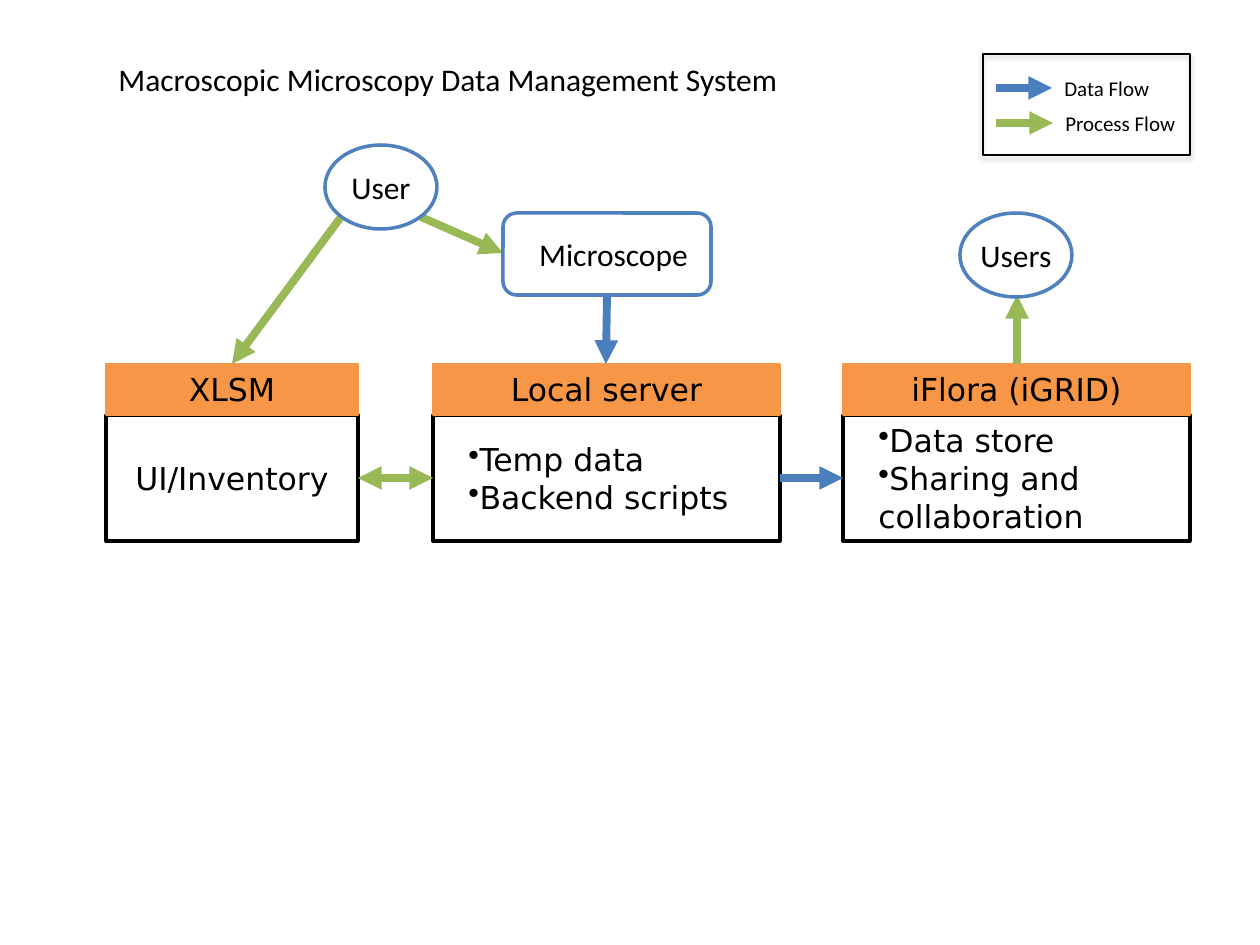
"""Build the data management flow diagram slide."""
from lxml import etree
from pptx import Presentation
from pptx.dml.color import RGBColor
from pptx.enum.shapes import MSO_CONNECTOR, MSO_SHAPE
from pptx.enum.text import MSO_ANCHOR, MSO_AUTO_SIZE, PP_ALIGN
from pptx.oxml.ns import qn
from pptx.util import Emu, Pt

RECT, ROUND, OVAL = MSO_SHAPE.RECTANGLE, MSO_SHAPE.ROUNDED_RECTANGLE, MSO_SHAPE.OVAL
STRAIGHT = MSO_CONNECTOR.STRAIGHT
LEFT, CENTER = PP_ALIGN.LEFT, PP_ALIGN.CENTER
TOP, MIDDLE = MSO_ANCHOR.TOP, MSO_ANCHOR.MIDDLE
GROW = MSO_AUTO_SIZE.SHAPE_TO_FIT_TEXT
SCALE = 914400 // 126
BLACK, WHITE, ORANGE, OUTLINE = "000000", "FFFFFF", "F79646", "4F81BD"
DATA, PROCESS = "4B7EBC", "98B955"
SANS, BODY = "DejaVu Sans", "Calibri"

HEADER_TOP, HEADER_H, BODY_H = 364, 51, 126
BODY_TOP = HEADER_TOP + HEADER_H
BODY_MID = BODY_TOP + BODY_H // 2
HANGING, CONTINUED = (33, -10, True), (23, 0, False)

SYSTEMS = [
    ("XLSM", 106, 252, [("UI/Inventory", None)]),
    ("Local server", 433, 347, [("Temp data", HANGING), ("Backend scripts", HANGING)]),
    ("iFlora (iGRID)", 843, 347, [("Data store", HANGING), ("Sharing and", HANGING),
                                  ("collaboration", CONTINUED)]),
]
ACTORS = [
    ("User", OVAL, (325, 145, 112, 84), 0),
    ("Microscope", ROUND, (503, 213, 208, 82), 13),
    ("Users", OVAL, (960, 213, 112, 84), 0),
]
FLOWS = [
    ((607, 295), (606, HEADER_TOP), DATA, False),
    ((780, BODY_MID), (843, BODY_MID), DATA, False),
    ((341, 217), (232, HEADER_TOP), PROCESS, False),
    ((1017, HEADER_TOP), (1017, 295), PROCESS, False),
    ((421, 217), (503, 253), PROCESS, False),
    ((358, BODY_MID), (433, BODY_MID), PROCESS, True),
]
TITLE = ("Macroscopic Microscopy Data Management System", (106, 54, 692, 50))
LEGEND_FRAME = (983, 54, 207, 101)
LEGEND = [("Data Flow", DATA, 88, 1052, 111), ("Process Flow", PROCESS, 123, 1053, 137)]


def px(value):
    return Emu(value * SCALE)


def color(value):
    return RGBColor.from_string(value)


def write(shape, lines, size=18, font=SANS, align=CENTER, **frame_format):
    frame = shape.text_frame
    for name, value in frame_format.items():
        setattr(frame, name, value)
    for index, (text, indent) in enumerate(lines):
        paragraph = frame.add_paragraph() if index else frame.paragraphs[0]
        paragraph.alignment = LEFT if indent else align
        run = paragraph.add_run()
        run.text = text
        for name, value in {"size": Pt(size), "name": font}.items():
            setattr(run.font, name, value)
        run.font.color.rgb = color(BLACK)
        if indent:
            margin, first, bulleted = indent
            props = paragraph._p.get_or_add_pPr()
            props.set("marL", str(px(margin)))
            props.set("indent", str(px(first)))
            if bulleted:
                etree.SubElement(props, qn("a:buChar"), char="•")


def add_box(kind, place, line, width, fill=None):
    box = slide.shapes.add_shape(kind, *map(px, place))
    box.shadow.inherit = False
    if fill:
        box.fill.solid()
        box.fill.fore_color.rgb = color(fill)
    else:
        box.fill.background()
    box.line.color.rgb = color(line)
    box.line.width = Pt(width)
    return box


def add_label(text, place, size):
    label = slide.shapes.add_textbox(*map(px, place))
    write(label, [(text, None)], size, BODY, LEFT, word_wrap=False, auto_size=GROW)


def add_flow(start, end, line, two_way=False):
    flow = slide.shapes.add_connector(STRAIGHT, *map(px, start + end))
    flow.line.color.rgb = color(line)
    flow.line.width = Pt(4.5)
    for tag in ["a:headEnd", "a:tailEnd"] if two_way else ["a:tailEnd"]:
        etree.SubElement(flow.line._get_or_add_ln(), qn(tag), type="triangle")
    etree.SubElement(flow._element.spPr, qn("a:effectLst"))


def add_shadow(shape):
    effects = shape._element.spPr.find(qn("a:effectLst"))
    shadow = etree.SubElement(effects, qn("a:outerShdw"), blurRad=str(Pt(3.1)),
                              dist=str(Pt(1.8)), dir="5400000", rotWithShape="0")
    tint = etree.SubElement(shadow, qn("a:srgbClr"), val=BLACK)
    etree.SubElement(tint, qn("a:alpha"), val="35000")


deck = Presentation()
deck.slide_width, deck.slide_height = px(1260), px(945)
slide = deck.slides.add_slide(deck.slide_layouts[6])

for name, left, width, details in SYSTEMS:
    body = add_box(RECT, (left, BODY_TOP, width, BODY_H), BLACK, 2, WHITE)
    write(body, details, vertical_anchor=MIDDLE, word_wrap=True)
    header = add_box(RECT, (left, HEADER_TOP, width, HEADER_H), ORANGE, 0.75, ORANGE)
    write(header, [(name, None)], vertical_anchor=TOP, word_wrap=True, auto_size=GROW)

for flow in FLOWS:
    add_flow(*flow)

for text, line, middle, tip, width in LEGEND:
    add_flow((996, middle), (tip, middle), line)
    add_label(text, (tip, middle - 19, width, 38), 12)
add_shadow(add_box(RECT, LEGEND_FRAME, BLACK, 0.75))

for name, kind, place, inset in ACTORS:
    actor = add_box(kind, place, OUTLINE, 2)
    write(actor, [(name, None)], font=BODY, vertical_anchor=MIDDLE, word_wrap=True,
          margin_left=px(inset), margin_right=0)

add_label(*TITLE, 18)
deck.save("out.pptx")
